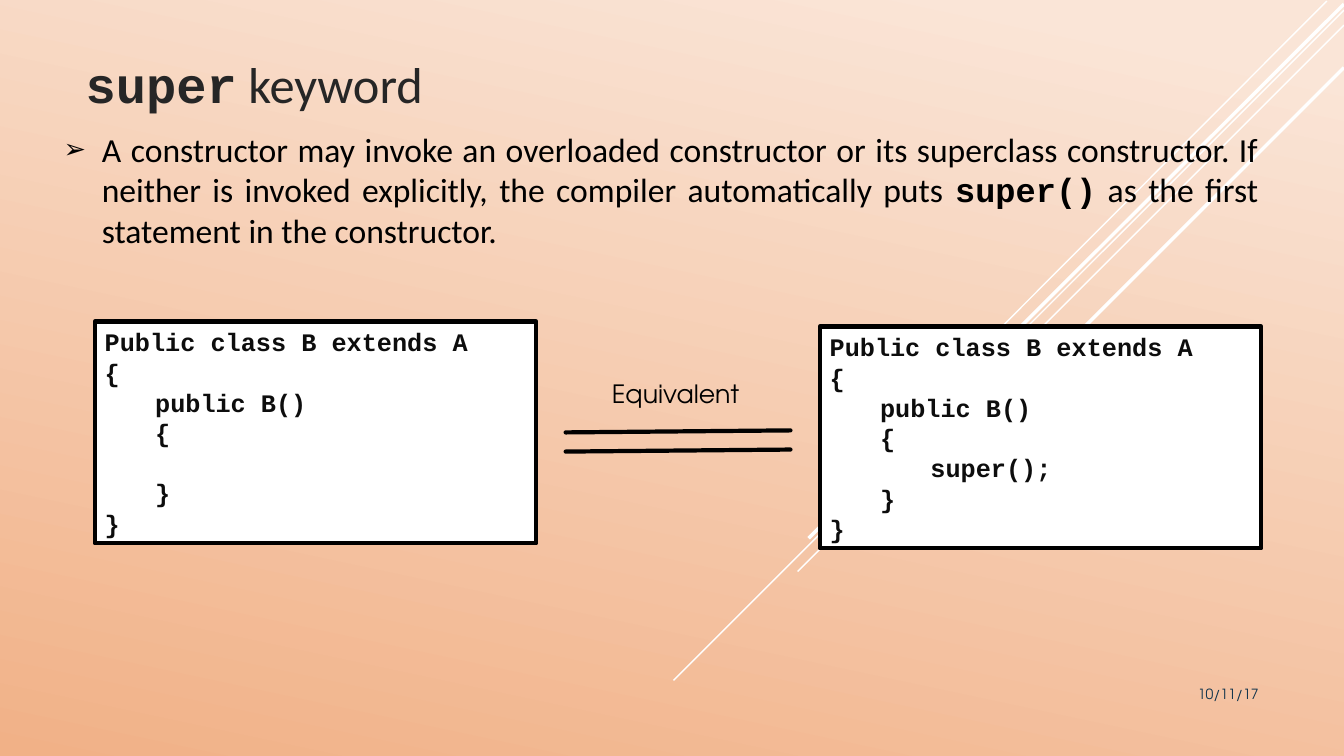
from lxml.etree import SubElement
from pptx import Presentation
from pptx.dml.color import RGBColor
from pptx.enum.shapes import MSO_CONNECTOR, MSO_SHAPE
from pptx.enum.text import MSO_ANCHOR, MSO_AUTO_SIZE, PP_ALIGN
from pptx.oxml.ns import qn
from pptx.util import Inches, Pt

WHITE = RGBColor(0xFF, 0xFF, 0xFF)
BLACK = RGBColor(0x00, 0x00, 0x00)
CODE_INK = RGBColor(0x0D, 0x0D, 0x0D)
TITLE_INK = RGBColor(0x26, 0x26, 0x26)
DATE_INK = RGBColor(0x0A, 0x30, 0x4A)
PALE_PEACH = RGBColor(0xFA, 0xE5, 0xD7)
DEEP_PEACH = RGBColor(0xF1, 0xB1, 0x87)


class SlideBuilder:
    text_font = "Calibri"
    code_font = "Courier New"
    label_font = "TeX Gyre Adventor"

    def __init__(self, slide):
        self.slide = slide

    def place(self, shape, left, top, width, height):
        shape.left, shape.top = Inches(left), Inches(top)
        shape.width, shape.height = Inches(width), Inches(height)

    def format_run(self, run, font, size, color, bold=False):
        run.font.name = font
        run.font.size = Pt(size)
        run.font.color.rgb = color
        run.font.bold = bold

    def background(self, start, end, angle):
        fill = self.slide.background.fill
        fill.gradient()
        fill.gradient_angle = angle
        for stop, color, position in zip(fill.gradient_stops, (start, end), (0.07, 1)):
            stop.color.rgb = color
            stop.position = position

    def line(self, start, end, color, weight, rounded=False):
        connector = self.slide.shapes.add_connector(
            MSO_CONNECTOR.STRAIGHT, *(Inches(value) for value in start + end))
        connector.line.color.rgb = color
        connector.line.width = Pt(weight)
        if rounded:
            connector.line._get_or_add_ln().set("cap", "rnd")
        SubElement(connector._element.spPr, qn("a:effectLst"))

    def mixed_text(self, placeholder, box, parts, size, color, anchor):
        """Fill a placeholder with (text, is_code) parts in one paragraph."""
        self.place(placeholder, *box)
        frame = placeholder.text_frame
        frame.auto_size = MSO_AUTO_SIZE.NONE
        frame.vertical_anchor = anchor
        paragraph = frame.paragraphs[0]
        for text, is_code in parts:
            run = paragraph.add_run()
            run.text = text
            font = self.code_font if is_code else self.text_font
            self.format_run(run, font, size, color, is_code)
        return paragraph

    def title(self, box, parts):
        paragraph = self.mixed_text(self.slide.shapes.title, box, parts, 36,
                                    TITLE_INK, MSO_ANCHOR.BOTTOM)
        paragraph.alignment = PP_ALIGN.LEFT

    def bullet(self, box, parts):
        paragraph = self.mixed_text(self.slide.placeholders[1], box, parts, 24,
                                    BLACK, MSO_ANCHOR.TOP)
        paragraph.alignment = PP_ALIGN.JUSTIFY
        paragraph.space_before = Pt(4.8)
        paragraph.space_after = Pt(6)
        properties = paragraph._p.get_or_add_pPr()
        properties.set("marL", str(Inches(0.38)))
        properties.set("indent", str(Inches(-0.38)))
        bullet_color = SubElement(properties, qn("a:buClr"))
        SubElement(bullet_color, qn("a:srgbClr"), val=str(BLACK))
        SubElement(properties, qn("a:buSzPct"), val="80000")
        SubElement(properties, qn("a:buChar"), char="➢")

    def code_box(self, left, top, code_lines):
        shape = self.slide.shapes.add_shape(
            MSO_SHAPE.RECTANGLE, Inches(left), Inches(top), Inches(4.38), Inches(2.2))
        shape.shadow.inherit = False
        shape.fill.solid()
        shape.fill.fore_color.rgb = WHITE
        shape.line.color.rgb = BLACK
        shape.line.width = Pt(3)
        frame = shape.text_frame
        frame.vertical_anchor = MSO_ANCHOR.MIDDLE
        frame.text = "\n".join(code_lines)
        for paragraph in frame.paragraphs:
            paragraph.alignment = PP_ALIGN.LEFT
            paragraph.font.size = Pt(18)
            paragraph.font.name = self.code_font
            tab_stops = SubElement(paragraph._p.get_or_add_pPr(), qn("a:tabLst"))
            # The tab list comes before the default run properties
            paragraph._p.pPr.find(qn("a:defRPr")).addprevious(tab_stops)
            for position in (0.5, 1):
                SubElement(tab_stops, qn("a:tab"), pos=str(Inches(position)), algn="l")
            for run in paragraph.runs:
                self.format_run(run, self.code_font, 18, CODE_INK, bold=True)
            if not paragraph.runs:
                SubElement(paragraph._p, qn("a:endParaRPr"), sz="1800")

    def label(self, box, text, size, color, alignment, wrap=True):
        shape = self.slide.shapes.add_textbox(*(Inches(value) for value in box))
        frame = shape.text_frame
        frame.word_wrap = wrap
        frame.text = text
        paragraph = frame.paragraphs[0]
        paragraph.alignment = alignment
        self.format_run(paragraph.runs[0], self.label_font, size, color)


def main():
    presentation = Presentation()
    presentation.slide_width = Inches(13.33)
    presentation.slide_height = Inches(7.5)
    slide = presentation.slides.add_slide(presentation.slide_layouts[1])
    builder = SlideBuilder(slide)

    # Background with diagonal rays
    builder.background(PALE_PEACH, DEEP_PEACH, 258)
    rays = [
        ((13.16, 0.01), (9, 4.18), 1),
        ((13.33, 0.1), (6.68, 6.75), 1),
        ((13.33, 0.25), (7.91, 5.67), 1),
        ((13.33, 0.04), (8.02, 5.34), 2.5),
        ((13.33, 0.67), (8.58, 5.42), 2.5),
    ]
    for start, end, weight in rays:
        builder.line(start, end, WHITE, weight)

    # Two equivalent classes
    for left, top, body in ((8.13, 3.24, "\t\tsuper();"), (0.94, 3.19, "")):
        builder.code_box(left, top, ["Public class B extends A", "{", "\tpublic B()",
                                     "\t{", body, "\t}", "}"])

    # Title and explanation, drawn above the rays
    for placeholder in list(slide.placeholders):
        slide.shapes._spTree.append(placeholder._element)
    builder.title((0.75, 0.15, 10.8, 1.03), [("super", True), (" keyword", False)])
    builder.bullet((0.53, 1.23, 12.05, 1.44), [
        ("A constructor may invoke an overloaded constructor or its superclass "
         "constructor. If neither is invoked explicitly, the compiler "
         "automatically puts ", False),
        ("super()", True),
        (" as the first statement in the constructor. ", False),
    ])

    # Date and equals sign with its label
    builder.label((10.83, 6.75, 1.75, 0.4), "10/11/17", 10, DATE_INK, PP_ALIGN.RIGHT)
    for height in (4.48, 4.29):
        builder.line((5.61, height), (7.84, height - 0.02), BLACK, 3, rounded=True)
    builder.label((5.96, 3.7, 1.48, 0.4), "Equivalent", 18, BLACK, PP_ALIGN.CENTER,
                  wrap=False)

    presentation.save("out.pptx")


if __name__ == "__main__":
    main()
